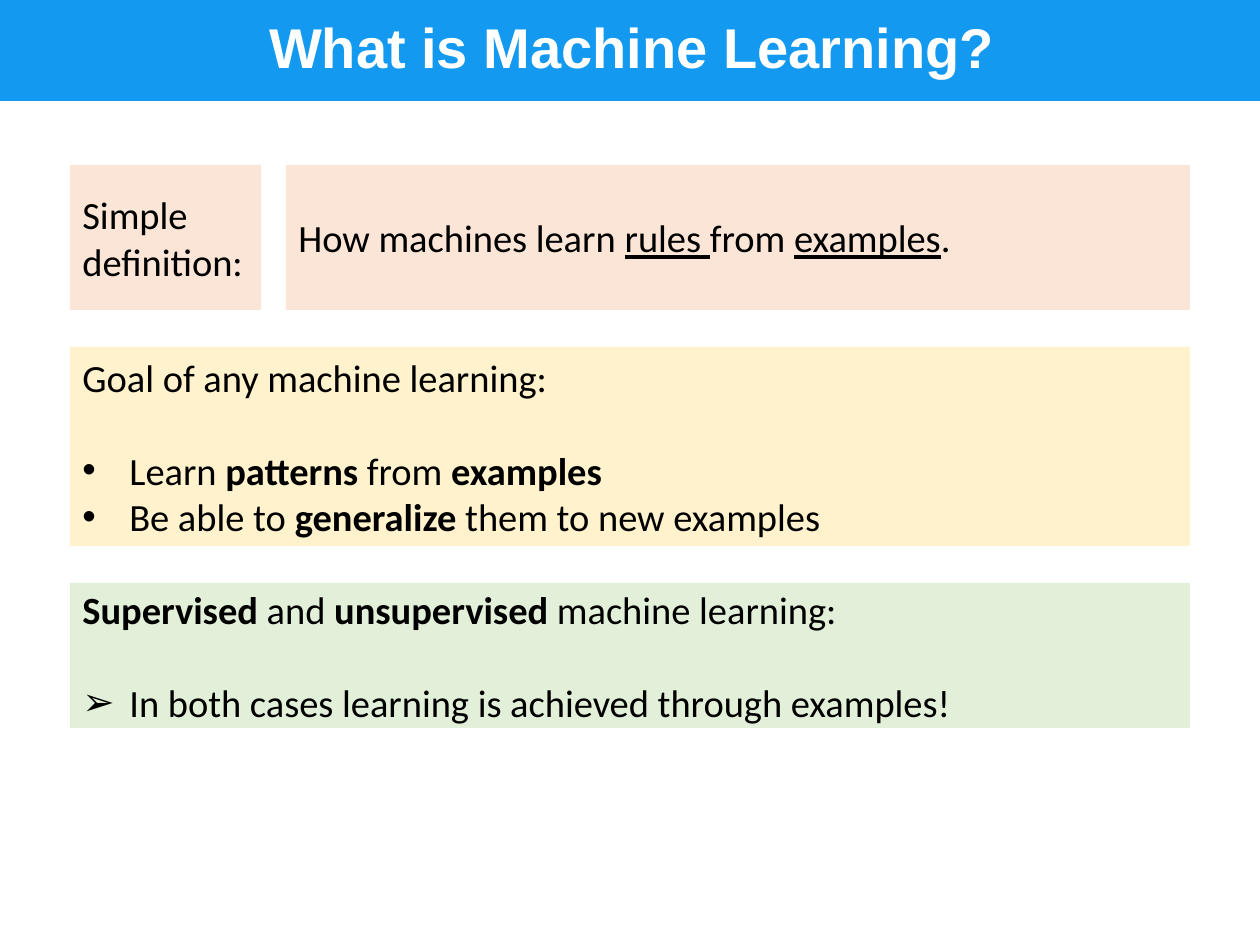
from typing import NamedTuple

from lxml.etree import SubElement
from pptx import Presentation
from pptx.dml.color import RGBColor
from pptx.enum.shapes import MSO_SHAPE as Preset
from pptx.enum.text import MSO_ANCHOR as Anchor, PP_ALIGN as Align
from pptx.oxml.ns import qn
from pptx.util import Emu, Pt

EMU_PER_PX = 914400 // 126
COLORS = {
    "bar": "139AF0",
    "definition": "FBE5D6",
    "goal": "FFF2CC",
    "kinds": "E2F0D9",
    "text": "000000",
    "title": "FFFFFF",
}
LEFT, WIDTH, TOP, GAP = 70, 1120, 165, 37
ROW_HEIGHT, GOAL_HEIGHT = 145, 199
LABEL_WIDTH, COLUMN_GAP = 191, 25
BULLET_INDENT = 47
TEXT_SIZE, LINE_HEIGHT = 22, 26.5


class Run(NamedTuple):
    text: str
    bold: bool = False
    underline: bool = False


class Line(NamedTuple):
    runs: list[Run]
    bullet: str = ""
    space_before: float = 0


class Panel(NamedTuple):
    left: int
    top: int
    width: int
    height: int
    color: str
    lines: list[Line]


def px(length: int) -> Emu:
    return Emu(length * EMU_PER_PX)


def rgb(name: str) -> RGBColor:
    return RGBColor.from_string(COLORS[name])


def add_run(paragraph, run: Run, font_name: str, size: int, color: str) -> None:
    text_run = paragraph.add_run()
    text_run.text = run.text
    font = text_run.font
    font.name, font.size = font_name, Pt(size)
    font.bold, font.underline = run.bold, run.underline
    font.color.rgb = rgb(color)


def add_bullet(paragraph, symbol: str) -> None:
    properties = paragraph._p.get_or_add_pPr()
    properties.set("marL", str(px(BULLET_INDENT)))
    properties.set("indent", str(-px(BULLET_INDENT)))
    SubElement(properties, qn("a:buFont")).set("typeface", "Arial")
    SubElement(properties, qn("a:buChar")).set("char", symbol)


def add_rectangle(slide, left: int, top: int, width: int, height: int, color: str):
    shape = slide.shapes.add_shape(
        Preset.RECTANGLE, px(left), px(top), px(width), px(height))
    shape.shadow.inherit = False
    shape.fill.solid()
    shape.fill.fore_color.rgb = rgb(color)
    shape.line.fill.background()
    return shape


def add_panel(slide, panel: Panel) -> None:
    frame = add_rectangle(slide, *panel[:5]).text_frame
    frame.word_wrap = True
    frame.vertical_anchor = Anchor.MIDDLE
    for index, line in enumerate(panel.lines):
        paragraph = frame.add_paragraph() if index else frame.paragraphs[0]
        paragraph.alignment = Align.LEFT
        if line.space_before:
            paragraph.space_before = Pt(line.space_before)
        if line.bullet:
            add_bullet(paragraph, line.bullet)
        for run in line.runs:
            add_run(paragraph, run, "Calibri", TEXT_SIZE, "text")


def add_title(slide, text: str) -> None:
    add_rectangle(slide, 0, 0, 1260, 101, "bar")
    frame = slide.shapes.add_textbox(px(87), px(0), px(1090), px(101)).text_frame
    frame.word_wrap = True
    frame.vertical_anchor = Anchor.MIDDLE
    paragraph = frame.paragraphs[0]
    paragraph.alignment = Align.CENTER
    paragraph.line_spacing = 0.9
    add_run(paragraph, Run(text, bold=True), "Arial", 32, "title")


def build_panels() -> list[Panel]:
    goal_top = TOP + ROW_HEIGHT + GAP
    kinds_top = goal_top + GOAL_HEIGHT + GAP
    offset = LABEL_WIDTH + COLUMN_GAP
    return [
        # Definition row: label and sentence
        Panel(LEFT, TOP, LABEL_WIDTH, ROW_HEIGHT, "definition",
              [Line([Run("Simple definition:")])]),
        Panel(LEFT + offset, TOP, WIDTH - offset, ROW_HEIGHT, "definition", [
            Line([Run("How machines learn "), Run("rules ", underline=True),
                  Run("from "), Run("examples", underline=True), Run(".")]),
        ]),
        # Goal of learning
        Panel(LEFT, goal_top, WIDTH, GOAL_HEIGHT, "goal", [
            Line([Run("Goal of any machine learning:")]),
            Line([Run("Learn"), Run(" patterns", bold=True), Run(" from "),
                  Run("examples", bold=True)], "•", LINE_HEIGHT),
            Line([Run("Be able to "), Run("generalize ", bold=True),
                  Run("them to new examples")], "•"),
        ]),
        # Kinds of learning
        Panel(LEFT, kinds_top, WIDTH, ROW_HEIGHT, "kinds", [
            Line([Run("Supervised", bold=True), Run(" and "),
                  Run("unsupervised", bold=True), Run(" machine learning:")]),
            Line([Run("In both cases learning is achieved through examples!")],
                 "➢", LINE_HEIGHT),
        ]),
    ]


def main() -> None:
    presentation = Presentation()
    presentation.slide_width, presentation.slide_height = px(1260), px(945)
    slide = presentation.slides.add_slide(presentation.slide_layouts[6])
    add_title(slide, "What is Machine Learning?")
    for panel in build_panels():
        add_panel(slide, panel)
    presentation.save("out.pptx")


if __name__ == "__main__":
    main()
